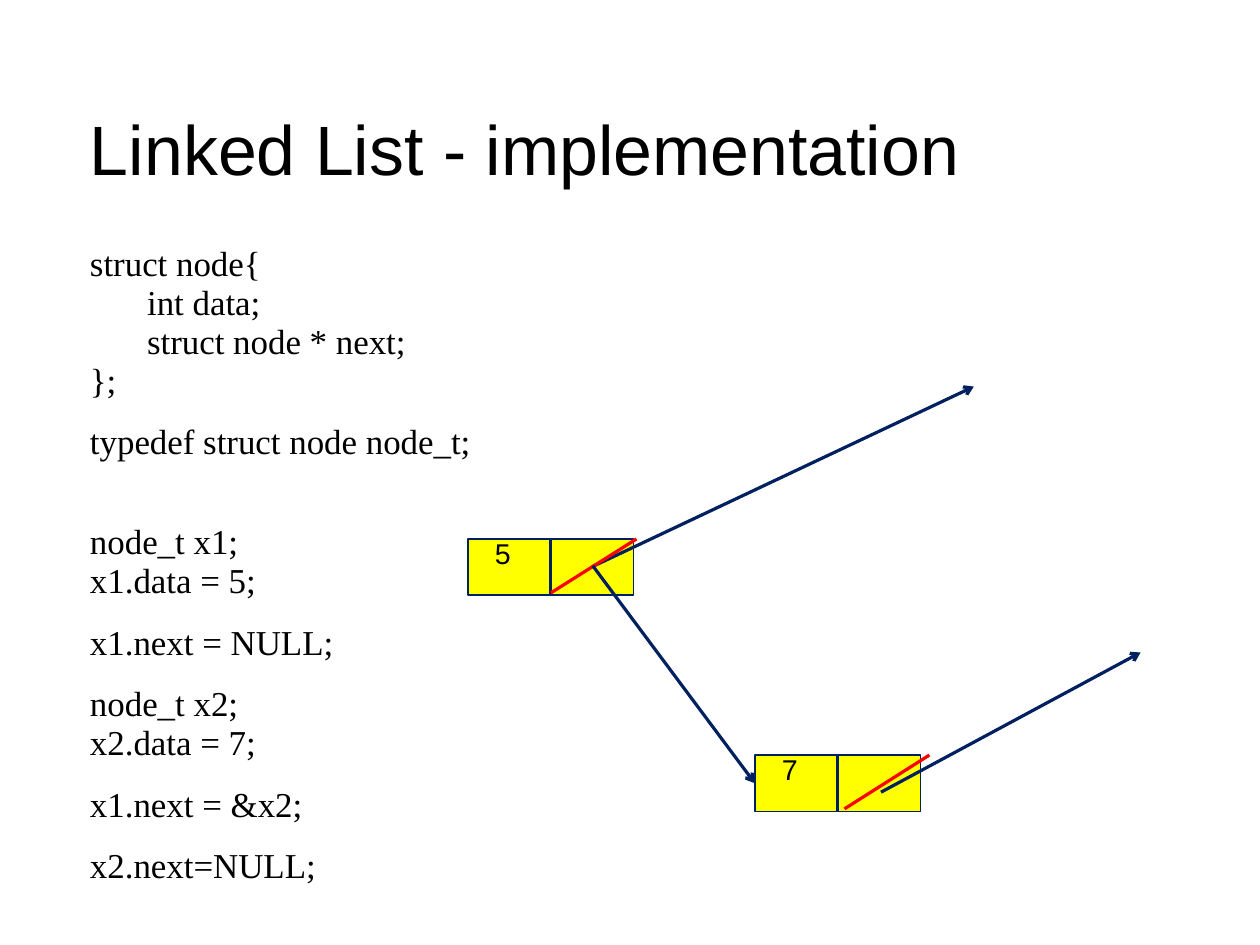
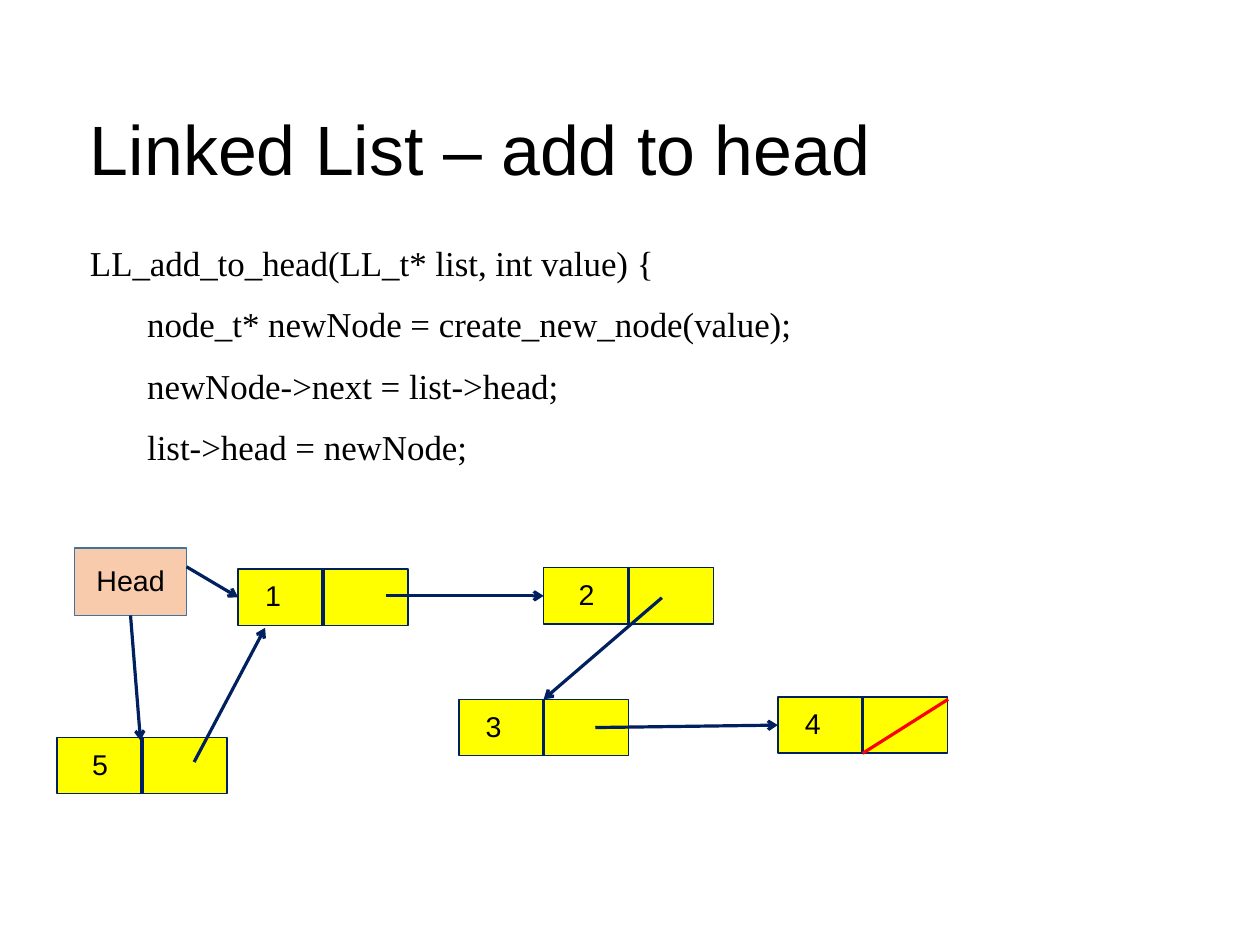
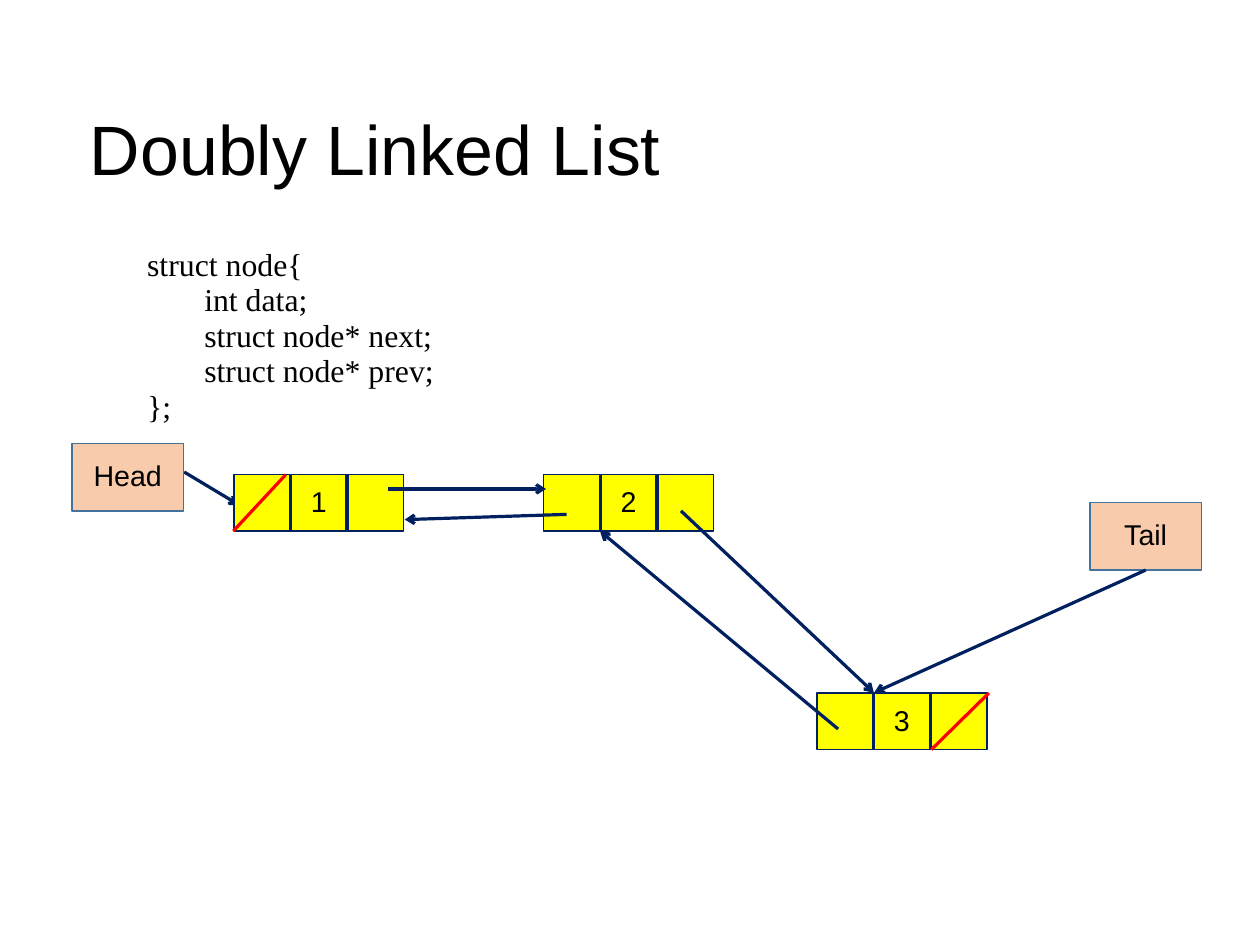
from dataclasses import dataclass

from lxml.etree import SubElement
from pptx import Presentation
from pptx.dml.color import RGBColor as RGB
from pptx.enum.shapes import MSO_CONNECTOR as LINK, MSO_SHAPE as FORM
from pptx.enum.text import MSO_ANCHOR as ANCHOR, MSO_AUTO_SIZE as AUTO, PP_ALIGN as ALIGN
from pptx.oxml.ns import qn
from pptx.util import Pt


@dataclass(frozen=True)
class Theme:
    ink: RGB = RGB(0, 0, 0)
    navy: RGB = RGB.from_string("002060")
    red: RGB = RGB.from_string("FF0000")
    yellow: RGB = RGB.from_string("FFFF00")
    peach: RGB = RGB.from_string("F8CBAD")
    steel: RGB = RGB.from_string("43729D")
    sans: str = "Arial"
    serif: str = "Times New Roman"
    head: int = 44
    code: int = 22
    small: int = 20
    label: int = 18
    lead: float = 0.93
    gap: float = 14.2


T = Theme()


def line(host, start, end, color=T.navy, arrow=True):
    """Draw a straight line, with an arrowhead at its end if wanted."""
    link = host.add_connector(LINK.STRAIGHT, *map(Pt, (*start, *end)))
    link.line.color.rgb = color
    link.line.width = Pt(2)
    if arrow:
        SubElement(link.line._get_or_add_ln(), qn("a:tailEnd"), type="arrow")
    SubElement(link._element.spPr, qn("a:effectLst"))
    return link


def box(host, left, top, text, parts=1, wide=107, pad=None, anchor=ANCHOR.MIDDLE):
    """Draw a pointer label (one part) or a list node split into equal parts."""
    node = parts > 1
    if node:
        host = host.add_group_shape().shapes
    else:
        wide = 70.5
    high = 35.5 if node else 42.5
    rect = host.add_shape(FORM.RECTANGLE, Pt(left), Pt(top), Pt(wide), Pt(high))
    rect.shadow.inherit = False
    rect.fill.solid()
    rect.fill.fore_color.rgb = T.yellow if node else T.peach
    rect.line.color.rgb = T.navy if node else T.steel
    rect.line.width = Pt(1)
    frame = rect.text_frame
    frame.vertical_anchor = anchor
    frame.margin_top = frame.margin_bottom = 0
    if pad:
        frame.margin_left = Pt(pad)
    para = frame.paragraphs[0]
    para.text = text
    para.alignment = ALIGN.LEFT if pad else ALIGN.CENTER
    para.line_spacing = T.lead
    para.font.name, para.font.size = T.sans, Pt(T.label)
    para.font.color.rgb = T.ink
    for i in range(1, parts):
        x = left + wide * i / parts
        line(host, (x, top), (x, top + high), arrow=False)
    return rect


# Titles and code: each paragraph is its text and the space after it
pages = [
    ("Linked List - implementation", T.code, 1, [
        ("struct node{\n\tint data;\n\tstruct node * next;\n};", T.gap),
        ("typedef struct node node_t;", 38.5),
        ("node_t x1;\nx1.data = 5;", T.gap),
        ("x1.next = NULL;", T.gap),
        ("node_t x2;\nx2.data = 7;", T.gap),
        ("x1.next = &x2;", T.gap),
        ("x2.next=NULL;", T.gap),
    ]),
    ("Linked List – add to head", T.code, 1, [
        ("LL_add_to_head(LL_t* list, int value) {", T.gap),
        ("\tnode_t* newNode = create_new_node(value);", T.gap),
        ("\tnewNode->next = list->head;", T.gap),
        ("\tlist->head = newNode;", T.gap),
    ]),
    ("Doubly Linked List", T.small, 3, [
        ("\tstruct node{\n\t\tint data;\n\t\tstruct node* next;\n"
         "\t\tstruct node* prev;\n\t};", T.gap),
    ]),
]

deck = Presentation()
deck.slide_width, deck.slide_height = Pt(793.75), Pt(595.25)
hosts = []

for name, size, drop, code in pages:
    slide = deck.slides.add_slide(deck.slide_layouts[1])
    hosts.append(slide.shapes)
    title, body = slide.placeholders

    # Places and frames
    for item, place, inset, anchor in (
        (title, (56.7, 54, 666, 80.5), 3, ANCHOR.MIDDLE),
        (body, (56.7, 153.3, 697, 378.5), drop, ANCHOR.TOP),
    ):
        item.left, item.top, item.width, item.height = map(Pt, place)
        frame = item.text_frame
        frame.auto_size = AUTO.NONE
        frame.word_wrap = True
        frame.vertical_anchor = anchor
        frame.margin_left = frame.margin_right = frame.margin_bottom = 0
        frame.margin_top = Pt(inset)

    # Title
    para = title.text_frame.paragraphs[0]
    para.text = name
    para.alignment = ALIGN.LEFT
    para.line_spacing = T.lead
    para.font.name, para.font.size = T.sans, Pt(T.head)
    para.font.color.rgb = T.ink

    # Code
    frame = body.text_frame
    for i, (text, after) in enumerate(code):
        para = frame.add_paragraph() if i else frame.paragraphs[0]
        para.text = text
        props = para._p.get_or_add_pPr()
        props.set("marL", "0")
        props.set("indent", "0")
        SubElement(props, qn("a:buNone"))
        tabs = SubElement(props, qn("a:tabLst"))
        for stop in (36, 72):
            SubElement(tabs, qn("a:tab"), pos=str(Pt(stop)), algn="l")
        para.line_spacing = T.lead
        para.space_before, para.space_after = Pt(0), Pt(after)
        para.font.name, para.font.size = T.serif, Pt(size)
        para.font.color.rgb = T.ink

first, second, third = hosts

# Implementation: two nodes
box(first, 294.7, 339.5, "5", 2, 104.5, 17, ANCHOR.TOP)
line(first, (373, 357), (613.5, 243.5))
line(first, (401, 339.5), (347, 373.5), T.red, False)
seven = box(first, 475.5, 475.6, "7", 2, 104.5, 17, ANCHOR.TOP)
line(first, (555, 499), (718.5, 411))
line(first, (373.5, 356.5), (475.5, 493.3)).end_connect(seven, 1)
line(first, (585.5, 475.6), (532, 509.5), T.red, False)

# Add to head: nodes and head label
one, two, three, four, five = [
    box(second, left, top, text, 2, pad=pad) for left, top, text, pad in (
        (150, 358.5, "1", 17),
        (342.5, 357.6, "2", 22),
        (289, 440.5, "3", 17),
        (490, 439, "4", 17),
        (36, 464.5, "5", 22),
    )
]
head = box(second, 47, 345.2, "Head")

# Add to head: links
line(second, (117.5, 357), (150, 376.2)).end_connect(one, 1)
line(second, (243, 375.35), (342.5, 375.35)).end_connect(two, 1)
line(second, (417, 376.5), (342.5, 440.5))
line(second, (375, 458.3), (490, 456.7)).end_connect(four, 1)
line(second, (597.3, 440.5), (543.5, 474.5), T.red, False)
line(second, (122.3, 480), (167, 395.5))
line(second, (82, 387.7), (88.5, 466.5)).begin_connect(head, 2)

# Doubly linked: nodes and labels, over the link from the head
line(third, (116, 297.3), (150.5, 318))
for left, top, text in ((147.3, 299, "1"), (342.5, 299, "2"), (514.7, 436.7, "3")):
    box(third, left, top, text, 3)
box(third, 45.2, 279.3, "Head")
tail = box(third, 686.5, 316.6, "Tail")

# Doubly linked: links and empty ends
for start, end in (
    ((429, 321.8), (550.5, 436.3)),
    ((244.5, 308), (344, 308)),
    ((357, 324), (255, 327.3)),
    ((528, 459.2), (378, 334.6)),
):
    line(third, start, end)
line(third, (721.75, 359.1), (550.7, 436.3)).begin_connect(tail, 2)
for start, end in (((180, 299), (147, 334.5)), ((623, 436.5), (586.7, 472.2))):
    line(third, start, end, T.red, False)

deck.save("out.pptx")
